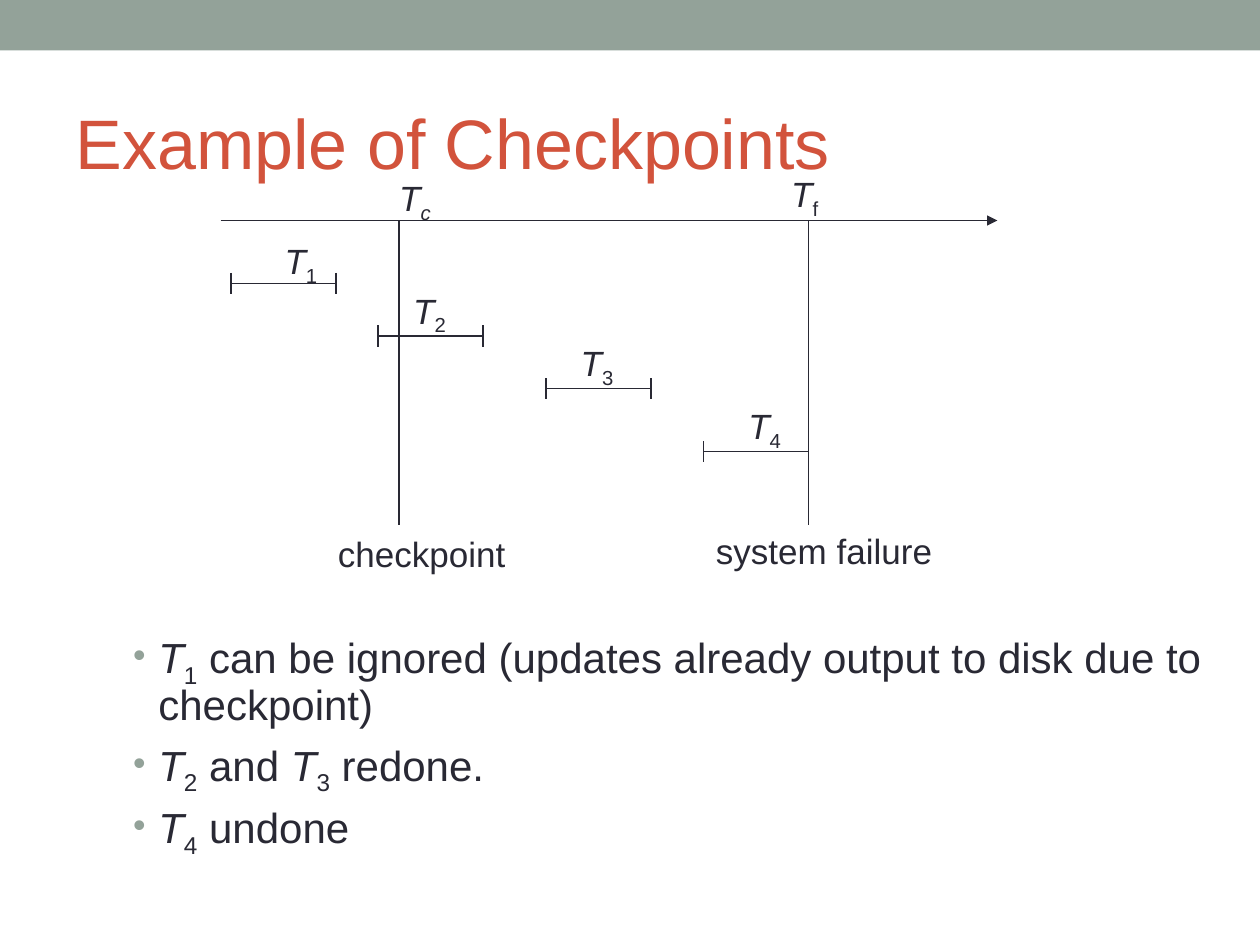
import pptx
import pptx.util
import pptx.dml.color
import pptx.enum.shapes
import pptx.enum.text
import pptx.oxml.ns
import lxml.etree

Pt = pptx.util.Pt
qn = pptx.oxml.ns.qn
INK = pptx.dml.color.RGBColor(0x29, 0x29, 0x34)
SAGE = pptx.dml.color.RGBColor(0x93, 0xA2, 0x99)
RUST = pptx.dml.color.RGBColor(0xD2, 0x53, 0x3C)
FONT = "Arial"


def draw_line(x1, y1, x2, y2):
    line = slide.shapes.add_connector(
        pptx.enum.shapes.MSO_CONNECTOR.STRAIGHT, Pt(x1), Pt(y1), Pt(x2), Pt(y2))
    line.line.color.rgb = INK
    line.line.width = Pt(0.75)
    lxml.etree.SubElement(line._element.spPr, qn("a:effectLst"))
    return line


def write_spans(para, spans, size):
    for text, style in spans:
        span = para.add_run()
        span.text = text
        span.font.name = FONT
        span.font.size = Pt(size)
        span.font.color.rgb = INK
        span.font.italic = "italic" in style
        if "sub" in style:
            span._r.get_or_add_rPr().set("baseline", "-25000")


deck = pptx.Presentation()
deck.slide_width = Pt(720)
deck.slide_height = Pt(540)
slide = deck.slides.add_slide(deck.slide_layouts[5])

band = slide.shapes.add_shape(
    pptx.enum.shapes.MSO_SHAPE.RECTANGLE, 0, 0, Pt(720), Pt(28.8))
band.shadow.inherit = False
band.fill.solid()
band.fill.fore_color.rgb = SAGE
band.line.fill.background()

title = slide.shapes.title
title.left, title.top, title.width, title.height = Pt(36), Pt(42), Pt(648), Pt(78)
title.text_frame.text = "Example of Checkpoints"
title.text_frame.vertical_anchor = pptx.enum.text.MSO_ANCHOR.MIDDLE
heading = title.text_frame.paragraphs[0]
heading.alignment = pptx.enum.text.PP_ALIGN.LEFT
heading.runs[0].font.name = FONT
heading.runs[0].font.size = Pt(40)
heading.runs[0].font.color.rgb = RUST

body = slide.shapes.add_textbox(Pt(69), Pt(358), Pt(651), Pt(135))
body.text_frame.word_wrap = True
T = ("T", "italic")
points = [
    [T, ("1", "sub"),
     (" can be ignored (updates already output to disk due to checkpoint)", "")],
    [T, ("2", "sub"), (" and ", ""), T, ("3", "sub"), (" redone.", "")],
    [T, ("4", "sub"), (" undone", "")],
]
for index, spans in enumerate(points):
    para = body.text_frame.paragraphs[0] if index == 0 else body.text_frame.add_paragraph()
    para.line_spacing = 0.9
    para.space_before = Pt(6 if index else 0)
    properties = para._p.get_or_add_pPr()
    properties.set("marL", str(Pt(14.4)))
    properties.set("indent", str(-Pt(14.4)))
    bullet_color = lxml.etree.SubElement(properties, qn("a:buClr"))
    lxml.etree.SubElement(bullet_color, qn("a:srgbClr"), val=str(SAGE))
    lxml.etree.SubElement(properties, qn("a:buSzPct"), val="85000")
    lxml.etree.SubElement(properties, qn("a:buFont"), typeface=FONT)
    lxml.etree.SubElement(properties, qn("a:buChar"), char="•")
    write_spans(para, spans, 24)

time_axis = draw_line(126, 126, 570, 126)
lxml.etree.SubElement(time_axis.line._get_or_add_ln(), qn("a:tailEnd"), type="triangle")
for x in (228, 462):
    draw_line(x, 126, x, 300)

for start, y in ((132, 162), (216, 192), (312, 222), (402, 258)):
    end = start + 60
    draw_line(start, y, end, y)
    for x in (start, end):
        draw_line(x, y - 6, x, y + 6)

labels = [
    (221, 97.2, 34, 34.6, [T, ("c", "italic sub")]),
    (445, 95, 32, 34.6, [T, ("f", "sub")]),
    (155.5, 133.2, 34, 34.6, [T, ("1", "sub")]),
    (229, 161.7, 34, 34.6, [T, ("2", "sub")]),
    (324.7, 191.5, 34, 34.6, [T, ("3", "sub")]),
    (420.5, 227.5, 34, 34.6, [T, ("4", "sub")]),
    (186, 301, 112, 31.7, [("checkpoint", "")]),
    (402, 298.8, 140, 31.7, [("system failure", "")]),
]
for left, top, width, height, spans in labels:
    box = slide.shapes.add_textbox(Pt(left), Pt(top), Pt(width), Pt(height))
    box.text_frame.word_wrap = False
    box.text_frame.auto_size = pptx.enum.text.MSO_AUTO_SIZE.NONE
    write_spans(box.text_frame.paragraphs[0], spans, 20)

deck.save("out.pptx")
